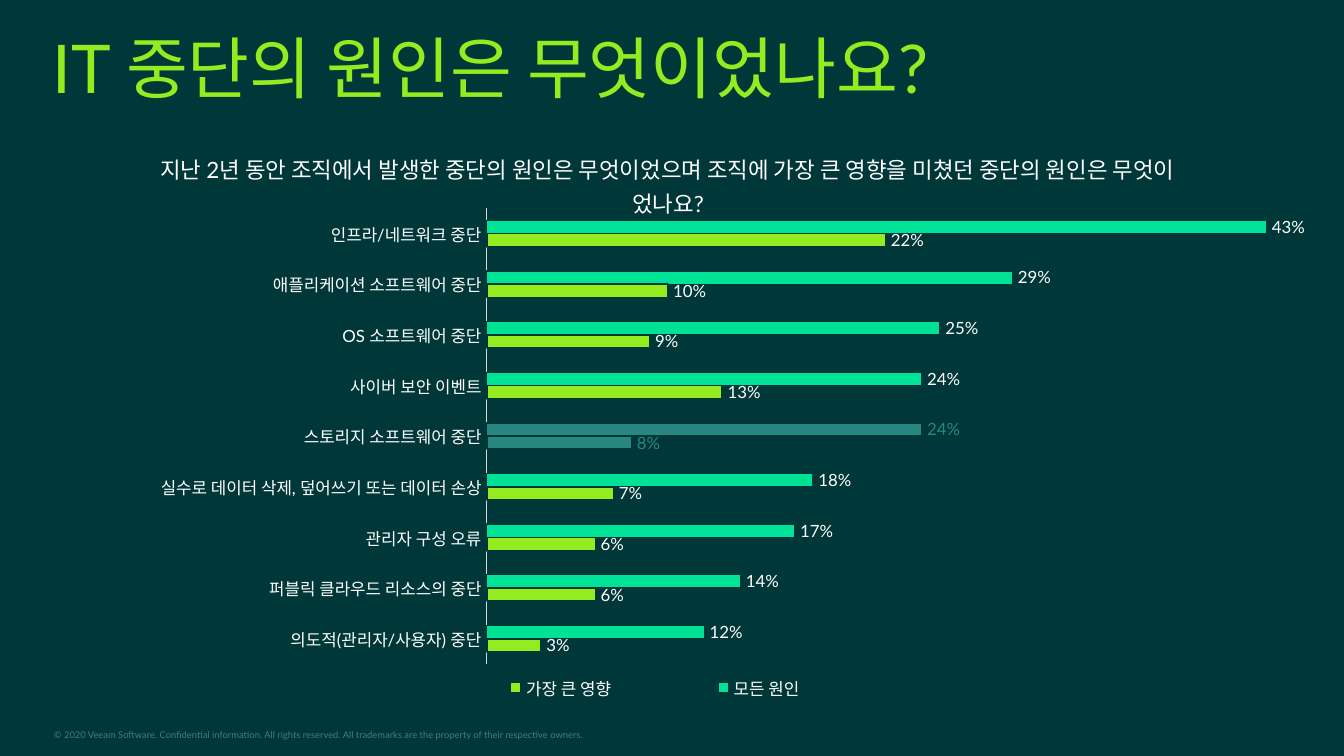
"""Build a slide charting the causes of IT outages."""
from lxml import etree
from pptx import Presentation
from pptx.chart.data import CategoryChartData
from pptx.dml.color import RGBColor
from pptx.enum.chart import XL_CHART_TYPE, XL_LABEL_POSITION, XL_LEGEND_POSITION, XL_TICK_MARK
from pptx.enum.text import MSO_ANCHOR, MSO_AUTO_SIZE, PP_ALIGN
from pptx.oxml.ns import qn
from pptx.util import Cm, Pt

BARS = XL_CHART_TYPE.BAR_CLUSTERED
OUTSIDE = XL_LABEL_POSITION.OUTSIDE_END
BOTTOM = XL_LEGEND_POSITION.BOTTOM
NO_TICK = XL_TICK_MARK.NONE
LEFT = PP_ALIGN.LEFT
MIDDLE = MSO_ANCHOR.MIDDLE
NO_FIT = MSO_AUTO_SIZE.NONE

DARK = RGBColor(0x00, 0x37, 0x38)
LIME = RGBColor(0x93, 0xEB, 0x20)
GREEN = RGBColor(0x00, 0xE2, 0x96)
TEAL = RGBColor(0x28, 0x87, 0x81)
MUTED = RGBColor(0x46, 0x7D, 0x7D)
GREY = RGBColor(0xD9, 0xD9, 0xD9)
WHITE = RGBColor(0xFF, 0xFF, 0xFF)

TITLE_ONLY = 5
HIGHLIGHT = 4
QUESTION = ("지난 2년 동안 조직에서 발생한 중단의 원인은 무엇이었으며 "
            "조직에 가장 큰 영향을 미쳤던 중단의 원인은 무엇이었나요?")
CAUSES = [
    ("인프라/네트워크 중단", 0.43, 0.22),
    ("애플리케이션 소프트웨어 중단", 0.29, 0.10),
    ("OS 소프트웨어 중단", 0.25, 0.09),
    ("사이버 보안 이벤트", 0.24, 0.13),
    ("스토리지 소프트웨어 중단", 0.24, 0.08),
    ("실수로 데이터 삭제, 덮어쓰기 또는 데이터 손상", 0.18, 0.07),
    ("관리자 구성 오류", 0.17, 0.06),
    ("퍼블릭 클라우드 리소스의 중단", 0.14, 0.06),
    ("의도적(관리자/사용자) 중단", 0.12, 0.03),
]
SERIES = [("모든 원인", GREEN, 0.75), ("가장 큰 영향", LIME, 1)]


def set_layout(parent, index, inner=False, **fractions):
    """Place a chart part by fractions of the chart area."""
    for old in parent.findall(qn("c:layout")):
        parent.remove(old)
    layout = etree.Element(qn("c:layout"))
    manual = etree.SubElement(layout, qn("c:manualLayout"))
    settings = {"layoutTarget": "inner"} if inner else {}
    settings.update(xMode="edge", yMode="edge", **fractions)
    for tag, value in settings.items():
        etree.SubElement(manual, qn(f"c:{tag}")).set("val", str(value))
    parent.insert(index, layout)


class Builder:
    """Hold the deck style and the current page."""

    def __init__(self, font_name):
        self.font_name = font_name
        self.deck = Presentation()
        self.deck.slide_width, self.deck.slide_height = Cm(25.4), Cm(14.29)
        self.page = None

    def add_page(self, color):
        self.page = self.deck.slides.add_slide(self.deck.slide_layouts[TITLE_ONLY])
        self.page.background.fill.solid()
        self.page.background.fill.fore_color.rgb = color

    def style(self, font, size, color):
        font.name, font.size, font.bold = self.font_name, Pt(size), False
        font.color.rgb = color

    def fill_frame(self, frame, text, size, color, wrap):
        frame.margin_left = frame.margin_right = frame.margin_top = frame.margin_bottom = 0
        frame.auto_size, frame.word_wrap, frame.vertical_anchor = NO_FIT, wrap, MIDDLE
        frame.text = text
        para = frame.paragraphs[0]
        para.alignment = LEFT
        self.style(para.font, size, color)

    def title(self, text):
        box = self.page.shapes.title
        box.left, box.top, box.width, box.height = Cm(0.99), Cm(0.48), Cm(23.39), Cm(1.55)
        self.fill_frame(box.text_frame, text, 36, LIME, True)

    def footer(self, text):
        box = self.page.shapes.add_textbox(Cm(1.02), Cm(13.79), Cm(10.19), Cm(0.2))
        self.fill_frame(box.text_frame, text, 5, MUTED, False)

    def paint_bar(self, item, fill, width):
        item.format.fill.solid()
        item.format.fill.fore_color.rgb = fill
        item.format.line.color.rgb = DARK
        item.format.line.width = Pt(width)

    def bar_series(self, series, color, width):
        self.paint_bar(series, color, width)
        series.invert_if_negative = False
        labels = series.data_labels
        labels.show_value, labels.position = True, OUTSIDE
        labels.number_format, labels.number_format_is_linked = "0%", False
        self.style(labels.font, 9, WHITE)
        point = series.points[HIGHLIGHT]
        self.paint_bar(point, TEAL, width)
        self.style(point.data_label.font, 9, TEAL)
        point.data_label.position = OUTSIDE

    def axes(self, chart):
        causes, shares = chart.category_axis, chart.value_axis
        causes.reverse_order = True
        causes.major_tick_mark = causes.minor_tick_mark = NO_TICK
        causes.format.line.color.rgb = GREY
        causes.format.line.width = Pt(0.75)
        self.style(causes.tick_labels.font, 9, WHITE)
        shares.visible = shares.has_major_gridlines = False
        shares.minimum_scale, shares.maximum_scale, shares.major_unit = 0, 0.45, 0.1

    def bar_chart(self, question):
        data = CategoryChartData(number_format="0%")
        names, *columns = zip(*CAUSES)
        data.categories = names
        for (name, _, _), values in zip(SERIES, columns):
            data.add_series(name, values)
        frame = self.page.shapes.add_chart(BARS, Cm(0.38), Cm(2.39), Cm(24.49), Cm(11.05), data)
        chart = frame.chart
        self.style(chart.font, 10, WHITE)
        chart.has_title = True
        heading = chart.chart_title.text_frame
        heading.text = question
        self.style(heading.paragraphs[0].font, 12, WHITE)
        chart.chart_title.include_in_layout = False
        plot = chart.plots[0]
        plot.gap_width, plot.vary_by_categories = 182, False
        for series, (_, color, width) in zip(plot.series, SERIES):
            self.bar_series(series, color, width)
        self.axes(chart)
        chart.has_legend = True
        chart.legend.position, chart.legend.include_in_layout = BOTTOM, False
        self.style(chart.legend.font, 9, WHITE)
        root = chart.element
        set_layout(root.find(".//" + qn("c:plotArea")), 0, True, x=0.36, y=0.14, w=0.63, h=0.78)
        set_layout(root.find(".//" + qn("c:legend")), 1, x=0.3, y=0.93, w=0.38, h=0.06)


def main():
    builder = Builder("Lato")
    builder.add_page(DARK)
    builder.footer("© 2020 Veeam Software. Confidential information. All rights reserved. "
                   "All trademarks are the property of their respective owners.")
    builder.title("IT 중단의 원인은 무엇이었나요?")
    builder.bar_chart(QUESTION)
    builder.deck.save("out.pptx")


if __name__ == "__main__":
    main()
